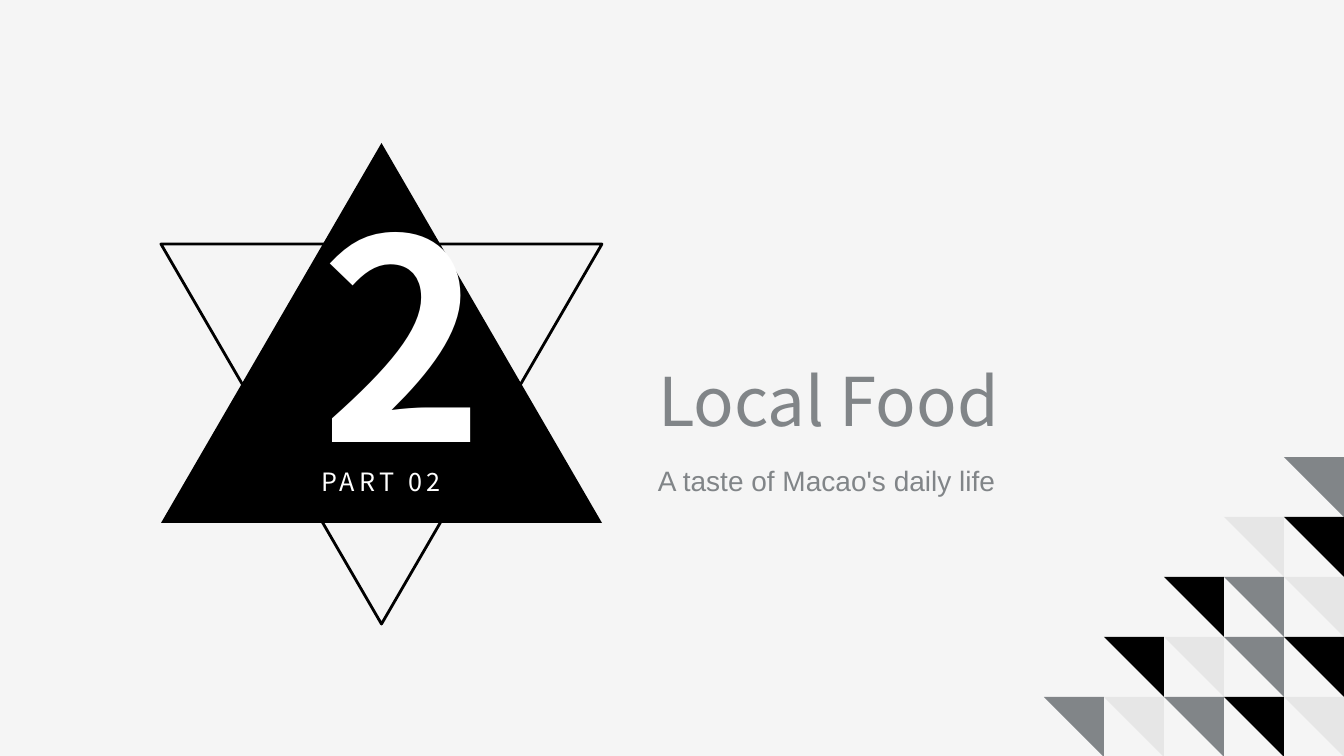
from pptx import Presentation
from pptx.dml.color import RGBColor
from pptx.enum.shapes import MSO_SHAPE
from pptx.enum.text import MSO_ANCHOR, MSO_AUTO_SIZE, PP_ALIGN
from pptx.util import Pt

TRIANGLE, RIGHT_TRIANGLE = MSO_SHAPE.ISOSCELES_TRIANGLE, MSO_SHAPE.RIGHT_TRIANGLE
TOP, NO_FIT = MSO_ANCHOR.TOP, MSO_AUTO_SIZE.NONE
LEFT, CENTER = PP_ALIGN.LEFT, PP_ALIGN.CENTER

SCALE = 914400 / 100.8  # EMU per px
THEME = {
    "background": "F5F5F5", "black": "000000", "gray": "818588",
    "light": "E6E6E6", "white": "FFFFFF",
    "heading_font": "Noto Sans CJK SC", "body_font": "Arial",
    "number": 199, "title": 48, "subtitle": 20, "label": 18,
}


def px(*lengths):
    return [round(n * SCALE) for n in lengths]


def write(sp, text, size, color, font="heading_font", align=LEFT, bold=False, spacing=0):
    tf = sp.text_frame
    tf.word_wrap, tf.auto_size, tf.vertical_anchor = True, NO_FIT, TOP
    p = tf.paragraphs[0]
    p.alignment = align
    r = p.add_run()
    r.text = text
    r.font.name, r.font.size, r.font.bold = THEME[font], Pt(THEME[size]), bold
    r.font.color.rgb = RGBColor.from_string(THEME[color])
    r.font._element.set("spc", str(spacing * 100))


prs = Presentation()
prs.slide_width, prs.slide_height = px(1344, 756)
s = prs.slides.add_slide(prs.slide_layouts[5])
s.background.fill.solid()
s.background.fill.fore_color.rgb = RGBColor.from_string(THEME["background"])

# Star: outlined triangle pointing down, solid triangle pointing up
outline = s.shapes.add_shape(TRIANGLE, *px(161, 244, 441, 380))
outline.rotation = 180
outline.shadow.inherit = False
outline.fill.background()
outline.line.color.rgb = RGBColor.from_string(THEME["black"])
outline.line.width = Pt(2)

solid = s.shapes.add_shape(TRIANGLE, *px(161, 143, 441, 380))
solid.shadow.inherit = False
solid.fill.solid()
solid.fill.fore_color.rgb = RGBColor.from_string(THEME["black"])
solid.line.fill.background()

# Corner mosaic: each row ends at the right edge
TILE, PITCH = 60, 60
mosaic = [
    ["gray"],
    ["light", "black"],
    ["black", "gray", "light"],
    ["black", "light", "gray", "black"],
    ["gray", "light", "gray", "black", "light"],
]
for row, colors in enumerate(mosaic):
    for col, color in enumerate(colors, start=5 - len(colors)):
        x, y = 1044 + col * PITCH, 457 + row * PITCH
        tile = s.shapes.add_shape(RIGHT_TRIANGLE, *px(x, y, TILE, TILE))
        tile.rotation = 180
        tile.shadow.inherit = False
        tile.fill.solid()
        tile.fill.fore_color.rgb = RGBColor.from_string(THEME[color])
        tile.line.fill.background()

# Part number and label
number = s.shapes.add_textbox(*px(311, 159, 141, 348))
write(number, "2", "number", "white", align=CENTER, bold=True)
label = s.shapes.add_textbox(*px(300, 461, 162, 40))
write(label, "PART 02", "label", "white", align=CENTER, spacing=3)

# Title and subtitle
title = s.shapes.title
title.left, title.top, title.width, title.height = px(648, 354, 554, 92)
write(title, "Local Food", "title", "gray")
subtitle = s.shapes.add_textbox(*px(648, 459, 533, 44))
write(subtitle, "A taste of Macao's daily life", "subtitle", "gray", font="body_font")

prs.save("out.pptx")
